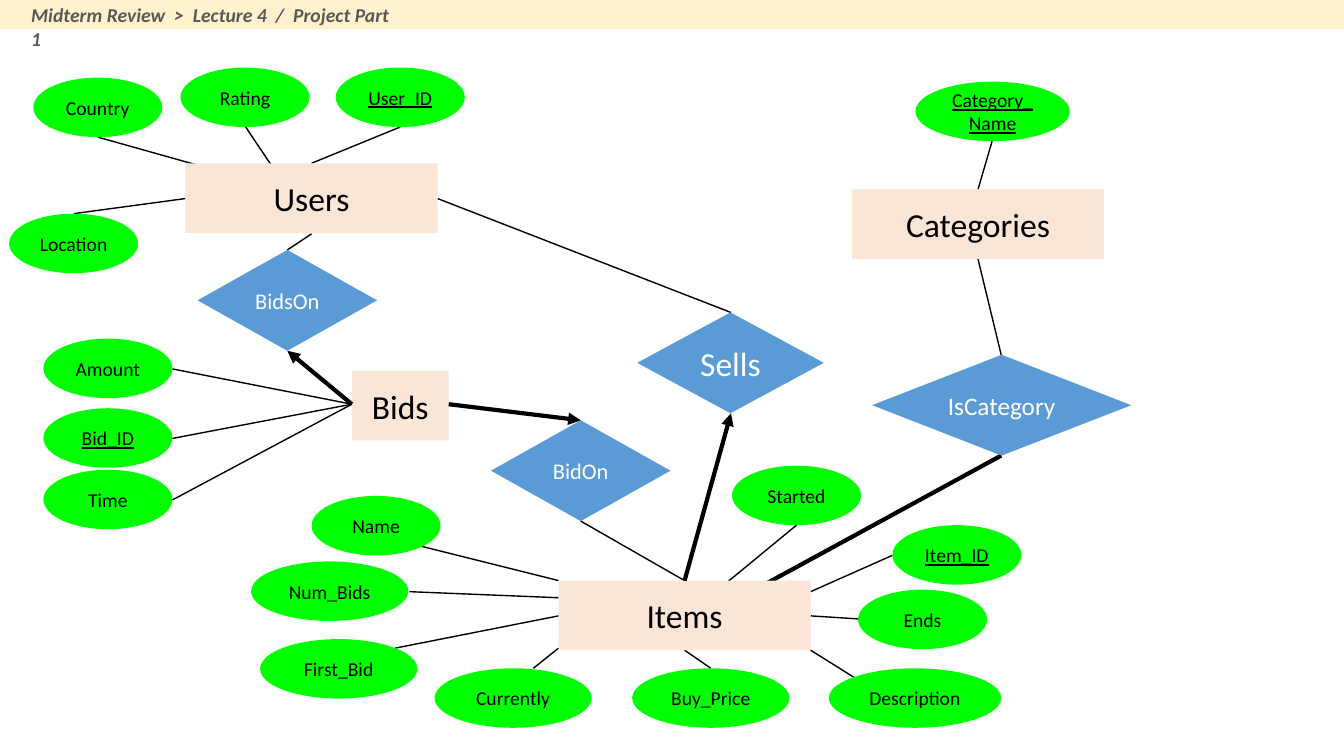
from pptx import Presentation
from pptx.dml.color import RGBColor
from pptx.enum.shapes import MSO_CONNECTOR, MSO_SHAPE
from pptx.enum.text import MSO_ANCHOR, PP_ALIGN
from pptx.oxml.ns import qn
from pptx.util import Inches, Pt
from lxml.etree import SubElement

deck = Presentation()
deck.slide_width, deck.slide_height = Inches(13.33), Inches(7.5)
slide = deck.slides.add_slide(deck.slide_layouts[6])


def add_node(kind, fill, name, box, size=14, color="000000", key=False):
    """Add a filled shape with a centred label; key underlines the label."""
    node = slide.shapes.add_shape(kind, *[Inches(n) for n in box])
    node.shadow.inherit = False
    node.fill.solid()
    node.fill.fore_color.rgb = RGBColor.from_string(fill)
    node.line.fill.background()
    frame = node.text_frame
    frame.text = name
    frame.word_wrap = True
    frame.vertical_anchor = MSO_ANCHOR.MIDDLE
    para = frame.paragraphs[0]
    para.alignment = PP_ALIGN.CENTER
    for run in para.runs:
        run.font.name = "Calibri"
        run.font.size = Pt(size)
        run.font.underline = key
        run.font.color.rgb = RGBColor.from_string(color)


def add_link(ends, width=1, arrow=False):
    link = slide.shapes.add_connector(
        MSO_CONNECTOR.STRAIGHT, *[Inches(n) for n in ends])
    link.line.width = Pt(width)
    link.line.color.rgb = RGBColor.from_string("000000")
    if arrow:
        SubElement(link.line._get_or_add_ln(), qn("a:tailEnd"), type="triangle")
    SubElement(link._element.spPr, qn("a:effectLst"))


# Header band
add_node(MSO_SHAPE.RECTANGLE, "FFF2CC", "", (0, 0, 13.33, 0.29))
head = slide.shapes.add_textbox(
    Inches(0.21), Inches(-0.02), Inches(3.79), Inches(0.34))
head.text_frame.word_wrap = True
head.text_frame.text = "Midterm Review  >  Lecture 4  /  Project Part 1"
font = head.text_frame.paragraphs[0].runs[0].font
font.name, font.size = "Calibri", Pt(14)
font.bold = font.italic = True
font.color.rgb = RGBColor.from_string("595959")

# Thin links, grouped by entity
links = [
    # Users
    (0.97, 1.36, 2.64, 1.83), (2.43, 1.25, 2.98, 2.07),
    (3.97, 1.26, 3.09, 1.62), (0.73, 2.12, 1.84, 1.97),
    (2.85, 2.48, 3.09, 2.32), (7.25, 3.1, 4.34, 1.97),
    # Bids
    (1.71, 3.66, 3.49, 4.01), (1.71, 4.35, 3.49, 4.01),
    (1.71, 4.96, 3.49, 4.01),
    # Categories
    (9.84, 1.4, 9.7, 1.88), (9.7, 2.57, 9.93, 3.52),
    # Items
    (4.18, 5.42, 5.54, 5.76), (4.06, 5.87, 5.54, 5.93),
    (3.92, 6.43, 5.54, 6.11), (5.29, 6.63, 5.54, 6.43),
    (7.05, 6.63, 6.79, 6.45), (8.47, 6.72, 8.04, 6.45),
    (8.85, 5.51, 8.04, 5.87), (8.51, 6.14, 8.04, 6.11),
    (7.9, 5.21, 7.05, 5.91), (5.76, 5.17, 6.79, 5.76),
]
for ends in links:
    add_link(ends)
add_link((7.25, 5.98, 9.93, 4.52), 3)

# Attributes: name, left, top, width, key
traits = [
    ("Country", 0.33, 0.77, 1.28, False),
    ("Rating", 1.79, 0.67, 1.28, False),
    ("User_ID", 3.33, 0.67, 1.28, True),
    ("Location", 0.09, 2.12, 1.28, False),
    ("Amount", 0.43, 3.36, 1.28, False),
    ("Bid_ID", 0.43, 4.05, 1.28, True),
    ("Time", 0.43, 4.66, 1.28, False),
    ("Category_Name", 9.08, 0.81, 1.53, True),
    ("Name", 3.09, 4.92, 1.28, False),
    ("Num_Bids", 2.49, 5.57, 1.56, False),
    ("First_Bid", 2.58, 6.34, 1.56, False),
    ("Currently", 4.31, 6.63, 1.56, False),
    ("Buy_Price", 6.27, 6.63, 1.56, False),
    ("Description", 8.22, 6.63, 1.71, False),
    ("Ends", 8.51, 5.85, 1.28, False),
    ("Item_ID", 8.85, 5.21, 1.28, True),
    ("Started", 7.26, 4.62, 1.28, False),
]
for name, left, top, width, key in traits:
    add_node(MSO_SHAPE.OVAL, "00FF00", name, (left, top, width, 0.59), key=key)

# Relationships: name, left, top, width, text size
bonds = [
    ("BidsOn", 1.96, 2.48, 1.78, 16),
    ("BidOn", 4.87, 4.17, 1.78, 16),
    ("Sells", 6.32, 3.1, 1.85, 24),
    ("IsCategory", 8.65, 3.52, 2.57, 18),
]
for name, left, top, width, size in bonds:
    add_node(MSO_SHAPE.DIAMOND, "5B9BD5", name, (left, top, width, 1),
             size, "FFFFFF")

# Entities: name, left, top, width
things = [
    ("Users", 1.84, 1.62, 2.5),
    ("Categories", 8.45, 1.88, 2.5),
    ("Bids", 3.49, 3.68, 0.96),
    ("Items", 5.54, 5.76, 2.5),
]
for name, left, top, width in things:
    add_node(MSO_SHAPE.RECTANGLE, "FBE5D6", name, (left, top, width, 0.69), 24)

# Arrows from an entity to a relationship
arrows = [
    (3.49, 4.01, 2.85, 3.48), (4.45, 4.01, 5.76, 4.17),
    (6.79, 5.76, 7.25, 4.1),
]
for ends in arrows:
    add_link(ends, 3, arrow=True)

deck.save("out.pptx")
